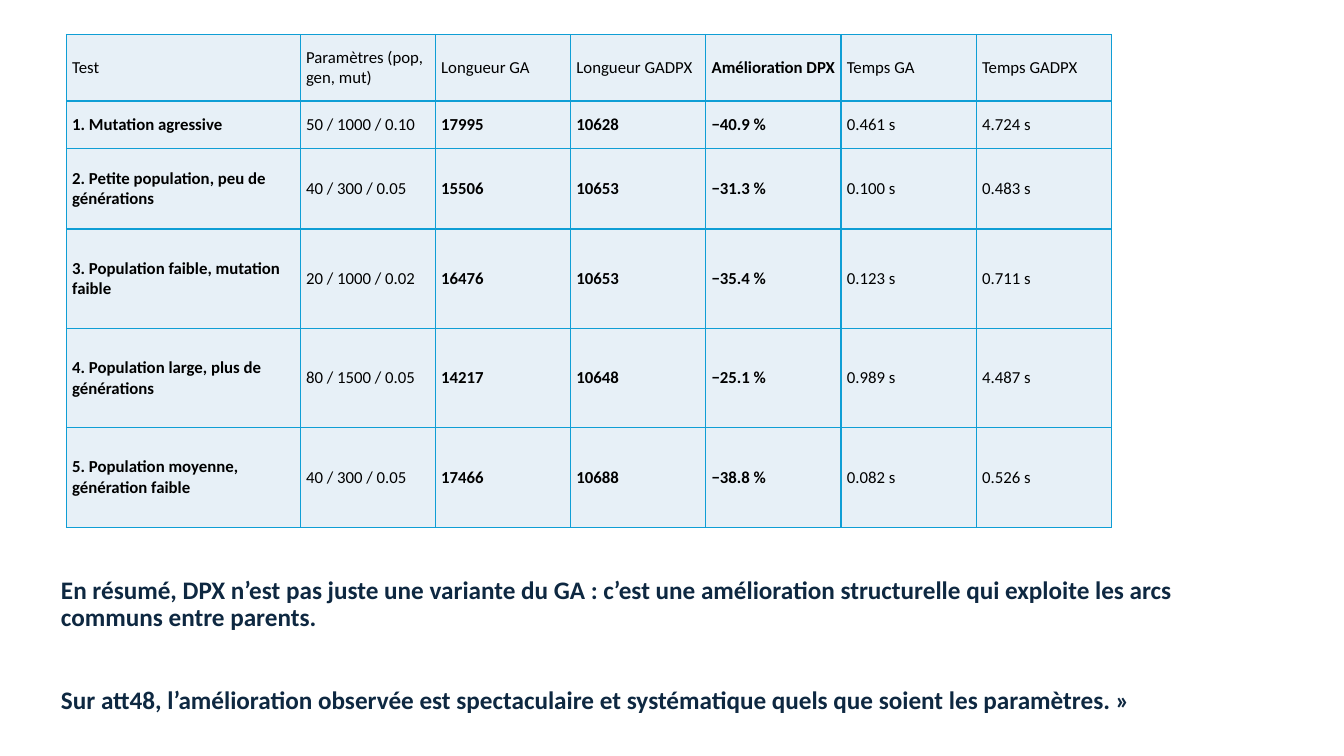
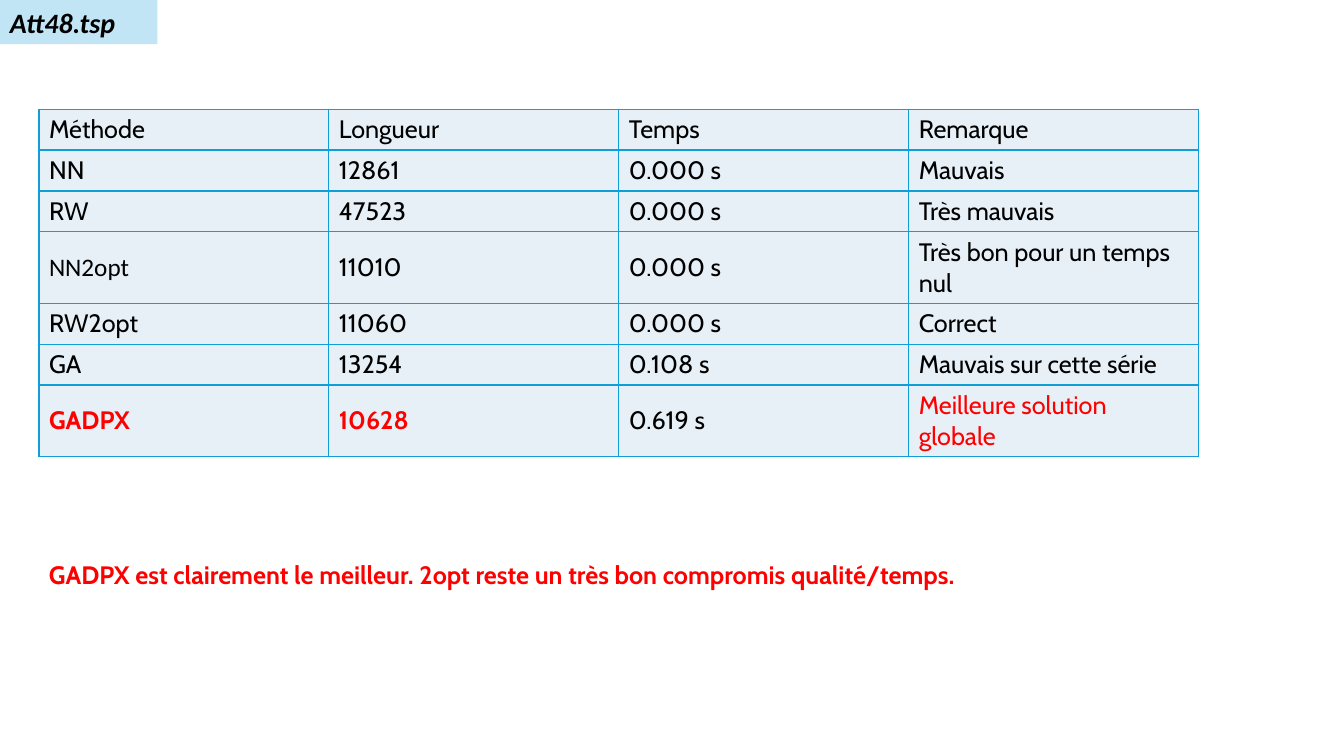
from lxml import etree
from pptx import Presentation
from pptx.dml.color import RGBColor
from pptx.enum import shapes, text
from pptx.oxml import ns
from pptx.util import Pt

BLACK, NAVY, RED = "000000", "0E2841", "FF0000"
CELL, BORDER, TAG = "E7F0F7", "0F9ED5", "C1E5F5"
BODY, ACCENT = "Calibri", "Cabin"

RUNS = [
    ("Test", "Paramètres (pop, gen, mut)", "Longueur GA", "Longueur GADPX",
     "Amélioration DPX", "Temps GA", "Temps GADPX"),
    ("1. Mutation agressive", "50 / 1000 / 0.10", "17995", "10628",
     "−40.9 %", "0.461 s", "4.724 s"),
    ("2. Petite population, peu de générations", "40 / 300 / 0.05", "15506", "10653",
     "−31.3 %", "0.100 s", "0.483 s"),
    ("3. Population faible, mutation faible", "20 / 1000 / 0.02", "16476", "10653",
     "−35.4 %", "0.123 s", "0.711 s"),
    ("4. Population large, plus de générations", "80 / 1500 / 0.05", "14217", "10648",
     "−25.1 %", "0.989 s", "4.487 s"),
    ("5. Population moyenne, génération faible", "40 / 300 / 0.05", "17466", "10688",
     "−38.8 %", "0.082 s", "0.526 s"),
]
METHODS = [
    ("Méthode", "Longueur", "Temps", "Remarque"),
    ("NN", "12861", "0.000 s", "Mauvais"),
    ("RW", "47523", "0.000 s", "Très mauvais"),
    ("NN2opt", "11010", "0.000 s", "Très bon pour un temps nul"),
    ("RW2opt", "11060", "0.000 s", "Correct"),
    ("GA", "13254", "0.108 s", "Mauvais sur cette série"),
    ("GADPX", "10628", "0.619 s", "Meilleure solution globale"),
]
SUMMARY = [
    "En résumé, DPX n’est pas juste une variante du GA : c’est une amélioration "
    "structurelle qui exploite les arcs communs entre parents.",
    "Sur att48, l’amélioration observée est spectaculaire et systématique quels que "
    "soient les paramètres. »",
]


def rgb(value):
    """Turn a hex string into a colour."""
    return RGBColor.from_string(value)


def write(p, content, size=18, font=BODY, color=BLACK, bold=False, italic=False,
          spacing=None, before=None):
    """Add formatted text to a paragraph."""
    p.alignment = text.PP_ALIGN.LEFT
    if spacing:
        p.line_spacing = spacing
    if before is not None:
        p.space_before = Pt(before)
    r = p.add_run()
    r.text = content
    r.font.size, r.font.name = Pt(size), font
    r.font.bold, r.font.italic = bold, italic
    r.font.color.rgb = rgb(color)


def outline(cell, color=BORDER, width=1):
    """Draw the four borders of a table cell."""
    tc_pr = cell._tc.get_or_add_tcPr()
    for side in ("a:lnL", "a:lnR", "a:lnT", "a:lnB"):
        ln = etree.SubElement(tc_pr, ns.qn(side), w=str(Pt(width)))
        fill = etree.SubElement(ln, ns.qn("a:solidFill"))
        etree.SubElement(fill, ns.qn("a:srgbClr"), val=color)


def table(s, x, y, widths, heights, rows, style, margins=None):
    """Place a bordered table; style(row, col) gives each cell's text format."""
    frame = s.shapes.add_table(len(rows), len(widths), Pt(x), Pt(y),
                               Pt(sum(widths)), Pt(sum(heights)))
    tbl = frame.table
    tbl.first_row = tbl.horz_banding = False
    for col, width in zip(tbl.columns, widths):
        col.width = Pt(width)
    for i, (height, values) in enumerate(zip(heights, rows)):
        tbl.rows[i].height = Pt(height)
        for j, value in enumerate(values):
            cell = tbl.cell(i, j)
            cell.vertical_anchor = text.MSO_ANCHOR.MIDDLE
            if margins:
                cell.margin_left = cell.margin_right = Pt(margins[0])
                cell.margin_top = cell.margin_bottom = Pt(margins[1])
            outline(cell)
            cell.fill.solid()
            cell.fill.fore_color.rgb = rgb(CELL)
            write(cell.text_frame.paragraphs[0], value, **style(i, j))


def note(s, x, y, w, h, lines, gap=0, **fmt):
    """Place a wrapped text box with a gap between its paragraphs."""
    tf = s.shapes.add_textbox(Pt(x), Pt(y), Pt(w), Pt(h)).text_frame
    tf.word_wrap = True
    for i, line in enumerate(lines):
        p = tf.paragraphs[0] if i == 0 else tf.add_paragraph()
        write(p, line, before=gap if i else 0, **fmt)


def tag(s, x, y, w, h, label):
    """Place the filled label in the corner of a slide."""
    sp = s.shapes.add_shape(shapes.MSO_SHAPE.RECTANGLE, Pt(x), Pt(y), Pt(w), Pt(h))
    sp.shadow.inherit = False
    sp.fill.solid()
    sp.fill.fore_color.rgb = rgb(TAG)
    sp.line.fill.background()
    tf = sp.text_frame
    tf.word_wrap = True
    tf.vertical_anchor = text.MSO_ANCHOR.MIDDLE
    write(tf.paragraphs[0], label, size=20, bold=True, italic=True)


def run_style(i, j):
    """Format the parameter runs: names, lengths and gains are bold."""
    return dict(size=12, bold=j == 4 or (i > 0 and j in (0, 2, 3)))


def method_style(i, j):
    """Format the methods: the winning row is red except for its time."""
    best = i == len(METHODS) - 1 and j != 2
    return dict(font=BODY if METHODS[i][j] == "NN2opt" else ACCENT,
                color=RED if best else BLACK, bold=best and j < 2)


def runs_slide(s):
    """Build the comparison of GA and GADPX by parameters."""
    table(s, 47.4, 24.6, [167] + [96.6] * 6, [47.6, 33.6, 57.8] + [71] * 3,
          RUNS, run_style, margins=(4.2, 2.2))
    note(s, 36.5, 409, 828, 115, SUMMARY, gap=39.7, color=NAVY, bold=True, spacing=0.9)


def methods_slide(s):
    """Build the comparison of all methods."""
    one, two = 29.2, 51
    table(s, 27.8, 78, [207.1] * 4, [one] * 3 + [two] + [one] * 2 + [two],
          METHODS, method_style)
    note(s, 27.8, 396, 828, 29,
         ["GADPX est clairement le meilleur. 2opt reste un très bon compromis qualité/temps."],
         font=ACCENT, color=RED, bold=True)
    tag(s, 0, 0, 112.5, 31.5, "Att48.tsp")


def main():
    """Build and save the presentation."""
    prs = Presentation()
    prs.slide_width, prs.slide_height = Pt(960), Pt(540)
    for build in (runs_slide, methods_slide):
        build(prs.slides.add_slide(prs.slide_layouts[6]))
    prs.save("out.pptx")


if __name__ == "__main__":
    main()
